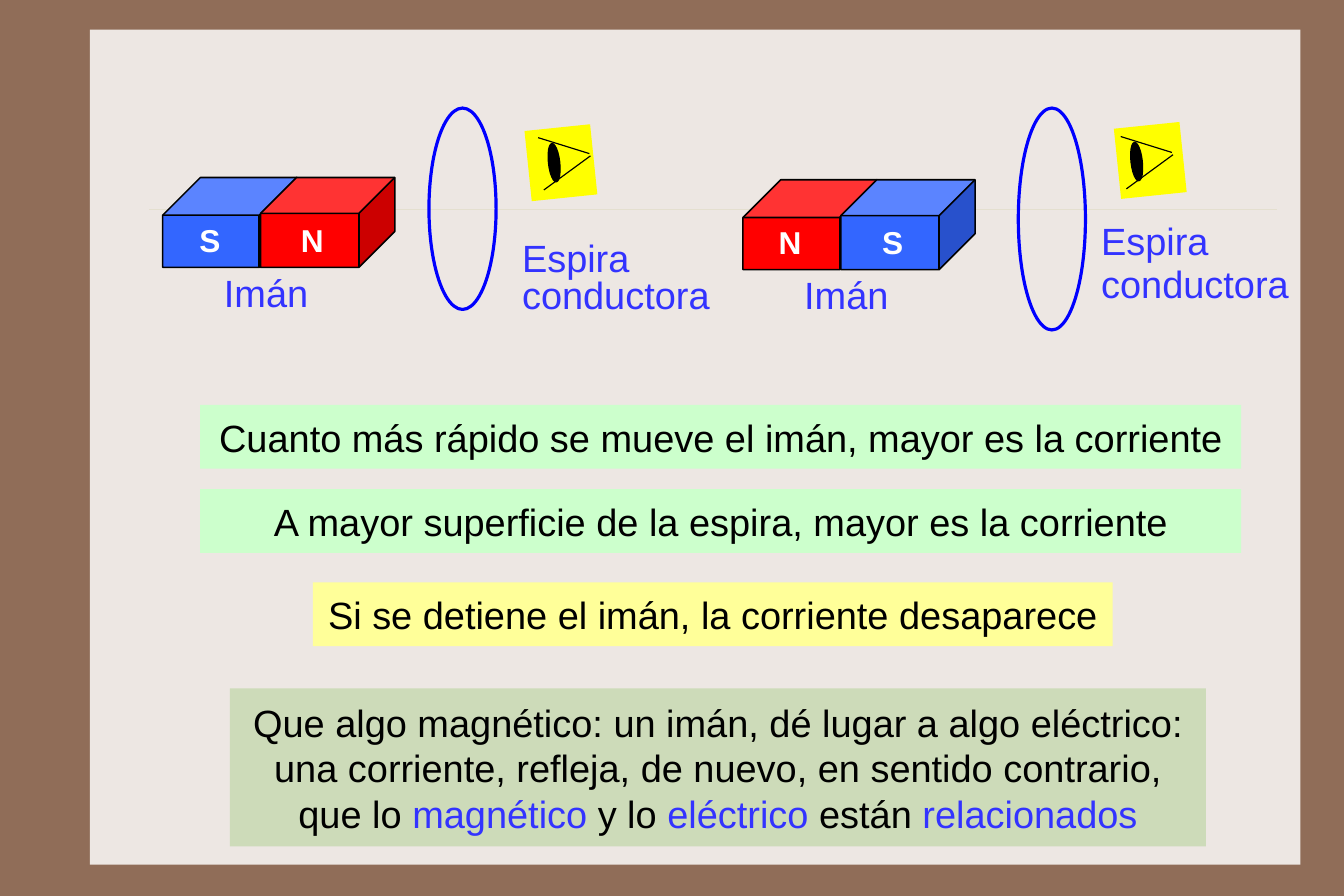
from lxml import etree
from pptx import Presentation
from pptx.dml.color import RGBColor
from pptx.enum.shapes import MSO_CONNECTOR as CONN, MSO_SHAPE as SHAPE
from pptx.enum.text import MSO_ANCHOR as ANCHOR, PP_ALIGN as ALIGN
from pptx.oxml.ns import qn
from pptx.util import Inches, Pt

BLUE, RED, INK = "3366FF", "FF0000", "3333FF"


def color(value):
    return RGBColor.from_string(value)


def box(x, y, w, h):
    return [Inches(v) for v in (x, y, w, h)]


def add_shape(s, kind, x, y, w, h, fill=None, line=None, width=1, rotation=0):
    sp = s.shapes.add_shape(kind, *box(x, y, w, h))
    sp.shadow.inherit = False
    sp.rotation = rotation
    if fill:
        sp.fill.solid()
        sp.fill.fore_color.rgb = color(fill)
    else:
        sp.fill.background()
    if line:
        sp.line.color.rgb = color(line)
        sp.line.width = Pt(width)
    else:
        sp.line.fill.background()
    return sp


def add_line(s, x1, y1, x2, y2, line, width):
    sp = s.shapes.add_connector(CONN.STRAIGHT, *box(x1, y1, x2, y2))
    sp.line.color.rgb = color(line)
    sp.line.width = Pt(width)
    etree.SubElement(sp._element.spPr, qn("a:effectLst"))


def write(sp, runs, size, align, inset, anchor=ANCHOR.TOP, bold=False):
    tf = sp.text_frame
    tf.word_wrap = True
    tf.vertical_anchor = anchor
    tf.margin_left = tf.margin_right = Inches(inset[0])
    tf.margin_top = tf.margin_bottom = Inches(inset[1])
    p = tf.paragraphs[0]
    p.alignment = align
    p.font.name, p.font.size, p.font.bold = "Arial", Pt(size), bold
    for text, ink in runs:
        r = p.add_run()
        r.text = text
        r.font.color.rgb = color(ink)


def add_label(s, text, x, y, w):
    sp = s.shapes.add_textbox(*box(x, y, w, 0.59))
    write(sp, [(text, INK)], 24, ALIGN.LEFT, (0.1, 0.09))


def add_frame(s):
    fill = s.background.fill
    fill.solid()
    fill.fore_color.rgb = color("906D58")
    add_shape(s, SHAPE.RECTANGLE, 0.79, 0.26, 10.64, 7.34, "EDE7E3")
    add_line(s, 1.31, 1.84, 11.22, 1.84, "E4DFCF", 0.25)


def add_magnet(s, x, y, poles):
    for i, (_, fill) in enumerate(poles):
        cube = add_shape(s, SHAPE.CUBE, x + 0.86 * i, y, 1.18, 0.79, fill, "000000")
        cube.adjustments[0] = 0.42 - 0.02 * i
    for i, (pole, _) in enumerate(poles):
        sp = s.shapes.add_textbox(*box(x + 0.14 + 0.9 * i, y + 0.33, 0.55, 0.4))
        write(sp, [(pole, "FFFFFF")], 20, ALIGN.CENTER, (0.1, 0.05), bold=True)
    add_label(s, "Imán", x + 0.44, y + 0.72, 1)


def add_eye(s, x, y, pupil_x, pupil_y):
    add_shape(s, SHAPE.RECTANGLE, x, y, 0.58, 0.62, "FFFF00", rotation=354.1)
    for x1, y1, x2, y2 in ((-0.04, 0.41, 0.37, 0.11), (0.36, 0.09, -0.09, -0.05)):
        add_line(s, pupil_x + x1, pupil_y + y1, pupil_x + x2, pupil_y + y2, "000000", 0.75)
    add_shape(s, SHAPE.OVAL, pupil_x, pupil_y, 0.1, 0.34, "000000", "000000", 0.75, 173.6)


def add_loop(s, x, y, h, label_x, label_ys):
    add_shape(s, SHAPE.OVAL, x, y, 0.59, h, line="0000FF", width=2)
    for text, label_y, w in zip(("Espira", "conductora"), label_ys, (1.2, 1.96)):
        add_label(s, text, label_x, label_y, w)


def add_note(s, x, y, w, h, fill, runs, inset):
    sp = add_shape(s, SHAPE.RECTANGLE, x, y, w, h, fill)
    write(sp, runs, 24, ALIGN.CENTER, inset, ANCHOR.MIDDLE)


def add_notes(s):
    for x, y, w, fill, text in (
        (1.76, 3.56, 9.15, "CCFFCC", "Cuanto más rápido se mueve el imán, mayor es la corriente"),
        (1.76, 4.3, 9.15, "CCFFCC", "A mayor superficie de la espira, mayor es la corriente"),
        (2.75, 5.12, 7.03, "FFFF99", "Si se detiene el imán, la corriente desaparece"),
    ):
        add_note(s, x, y, w, 0.56, fill, [(text, "000000")], (0.12, 0.08))
    add_note(s, 2.02, 6.05, 8.58, 1.39, "CDDBB9", [
        ("Que algo magnético: un imán, dé lugar a algo eléctrico: una corriente, "
         "refleja, de nuevo, en sentido contrario, que lo ", "000000"),
        ("magnético", INK), (" y lo ", "000000"), ("eléctrico", INK),
        (" están ", "000000"), ("relacionados", INK),
    ], (0.1, 0.09))


def main():
    prs = Presentation()
    prs.slide_width, prs.slide_height = Inches(189 / 16), Inches(63 / 8)
    s = prs.slides.add_slide(prs.slide_layouts[6])
    add_frame(s)
    south, north = ("S", BLUE), ("N", RED)
    add_magnet(s, 1.43, 1.56, (south, north))
    add_loop(s, 3.77, 0.95, 1.77, 4.49, (1.97, 2.3))
    add_eye(s, 4.64, 1.12, 4.82, 1.26)
    add_magnet(s, 6.53, 1.58, (north, south))
    add_loop(s, 8.95, 0.95, 1.95, 9.58, (1.82, 2.2))
    add_eye(s, 9.82, 1.1, 9.94, 1.25)
    add_notes(s)
    prs.save("out.pptx")


if __name__ == "__main__":
    main()
